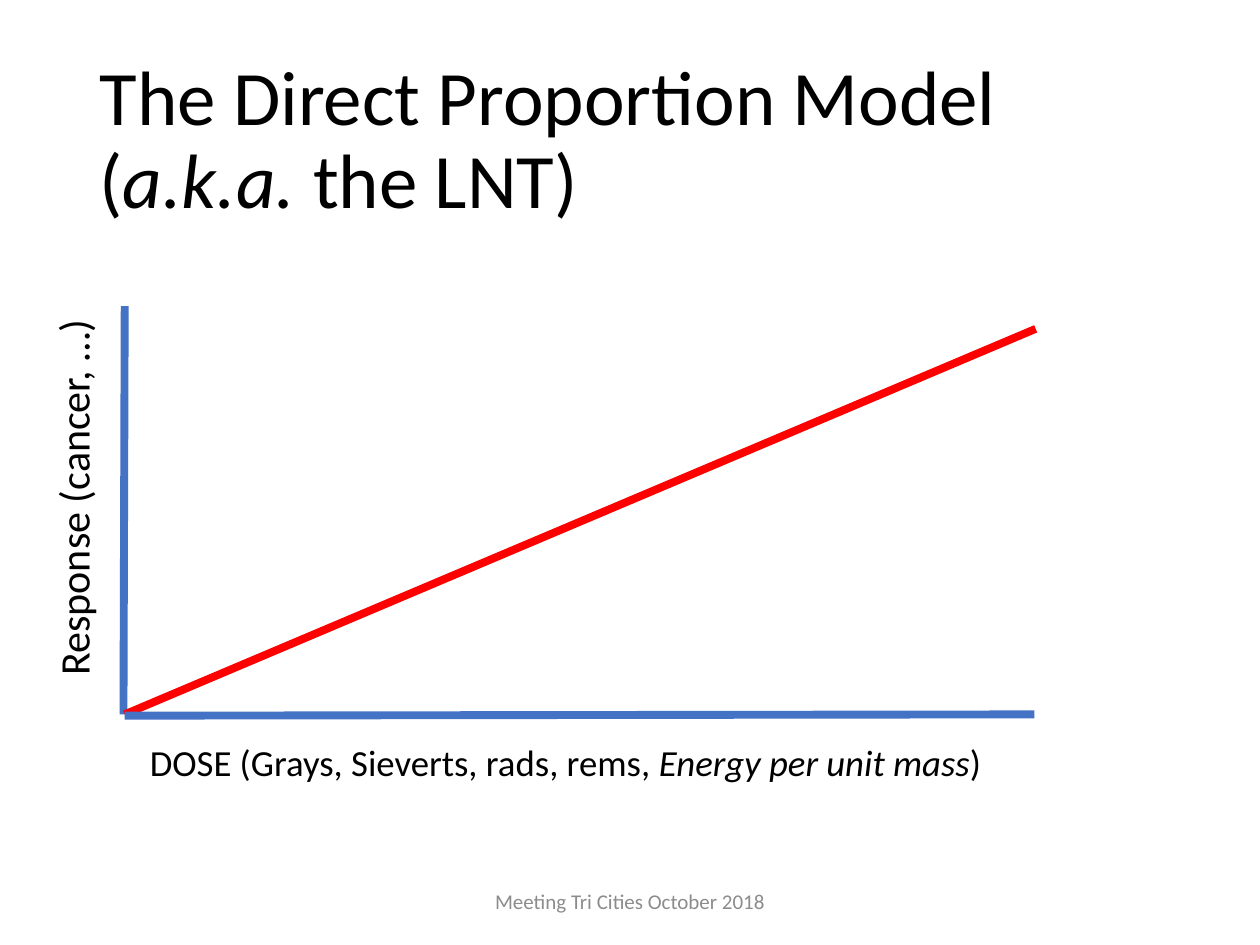
from lxml.etree import SubElement
from pptx import Presentation
from pptx.dml.color import RGBColor
from pptx.enum.shapes import MSO_CONNECTOR as CONNECTOR
from pptx.enum.text import MSO_ANCHOR as ANCHOR, MSO_AUTO_SIZE as AUTO_SIZE, PP_ALIGN as ALIGN
from pptx.oxml.ns import qn
from pptx.util import Inches, Pt

COLORS = {"text": "000000", "axis": "4472C4", "response": "FF0000", "footer": "8C8C8C"}


def place(shape, left, top, width, height):
    shape.left, shape.top = Inches(left), Inches(top)
    shape.width, shape.height = Inches(width), Inches(height)


def write(shape, runs, size, color="text", align=ALIGN.LEFT, anchor=ANCHOR.TOP, wrap=True):
    frame = shape.text_frame
    frame.auto_size = AUTO_SIZE.NONE
    frame.word_wrap = wrap
    frame.vertical_anchor = anchor
    paragraph = frame.paragraphs[0]
    paragraph.alignment = align
    for text, italic in runs:
        run = paragraph.add_run()
        run.text = text
        run.font.name = "Calibri"
        run.font.size = Pt(size)
        run.font.italic = italic
        run.font.color.rgb = RGBColor.from_string(COLORS[color])


presentation = Presentation()
presentation.slide_width = Inches(10)
presentation.slide_height = Inches(7.5)
slide = presentation.slides.add_slide(presentation.slide_layouts[5])

title = slide.shapes.title
place(title, 0.69, 0.4, 8.62, 1.45)
title_runs = [("The Direct Proportion Model (", False), ("a.k.a.", True), (" the LNT)", False)]
write(title, title_runs, 44, anchor=ANCHOR.MIDDLE)
title.text_frame.paragraphs[0].line_spacing = 0.9

for color, start, end in [
    ("axis", (0.98, 5.67), (0.99, 2.43)),
    ("response", (0.99, 5.67), (8.22, 2.61)),
    ("axis", (0.99, 5.68), (8.21, 5.67)),
]:
    points = [Inches(value) for value in start + end]
    line = slide.shapes.add_connector(CONNECTOR.STRAIGHT, *points)
    line.line.color.rgb = RGBColor.from_string(COLORS[color])
    line.line.width = Pt(4.5)
    SubElement(line._element.spPr, qn("a:effectLst"))

response_label = slide.shapes.add_textbox(0, 0, 0, 0)
place(response_label, -0.95, 3.68, 3.06, 0.5)
response_label.rotation = 270
write(response_label, [("Response (cancer, …)", False)], 24, wrap=False)

dose_label = slide.shapes.add_textbox(0, 0, 0, 0)
place(dose_label, 1.09, 5.82, 6.91, 0.45)
dose_runs = [
    ("DOSE (Grays, Sieverts, rads, rems, ", False),
    ("Energy per unit mass", True),
    (")", False),
]
write(dose_label, dose_runs, 21)

footer = slide.shapes.add_textbox(0, 0, 0, 0)
place(footer, 3.31, 6.95, 3.38, 0.4)
write(footer, [("Meeting Tri Cities October 2018", False)], 12, "footer", ALIGN.CENTER, ANCHOR.MIDDLE)

presentation.save("out.pptx")
